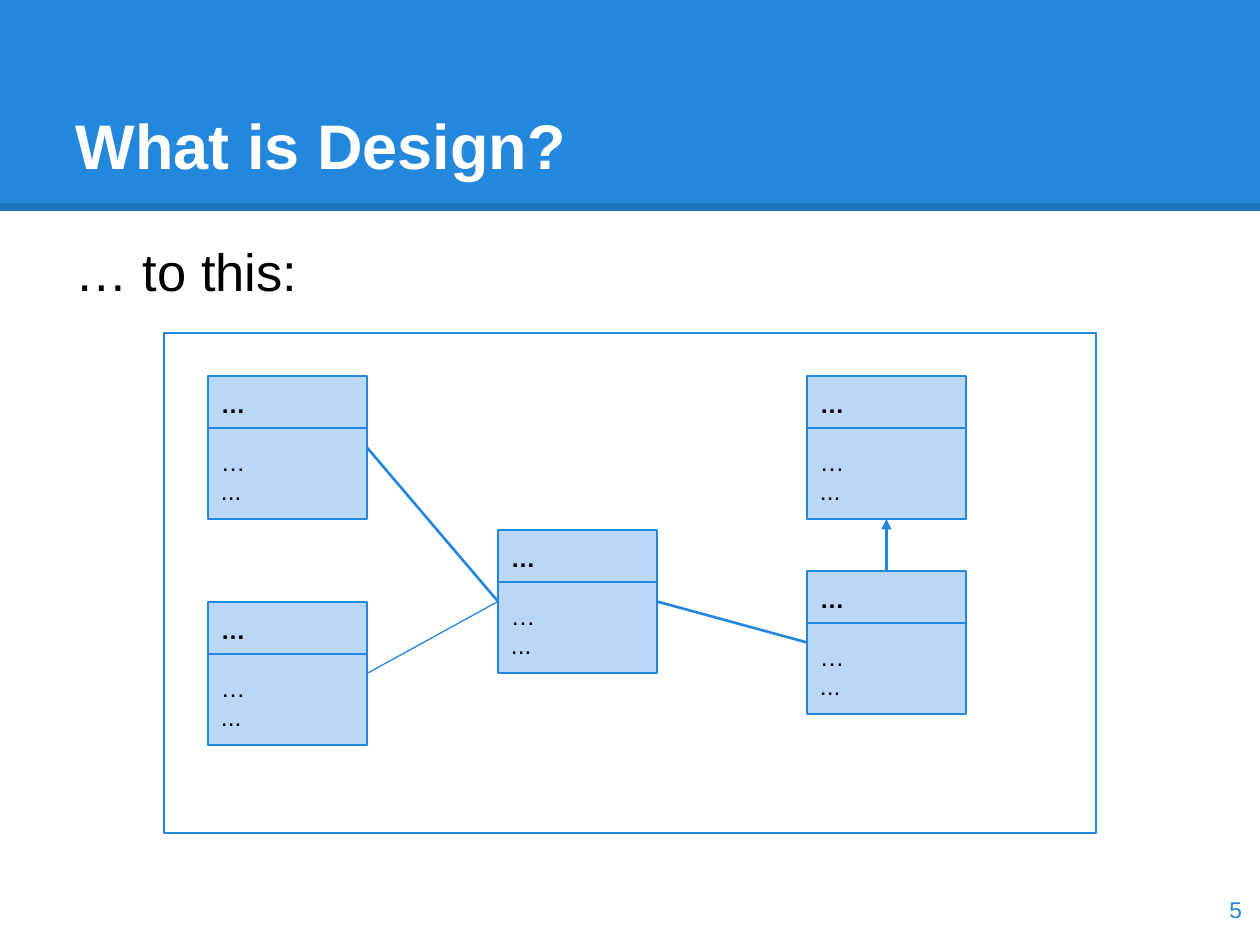
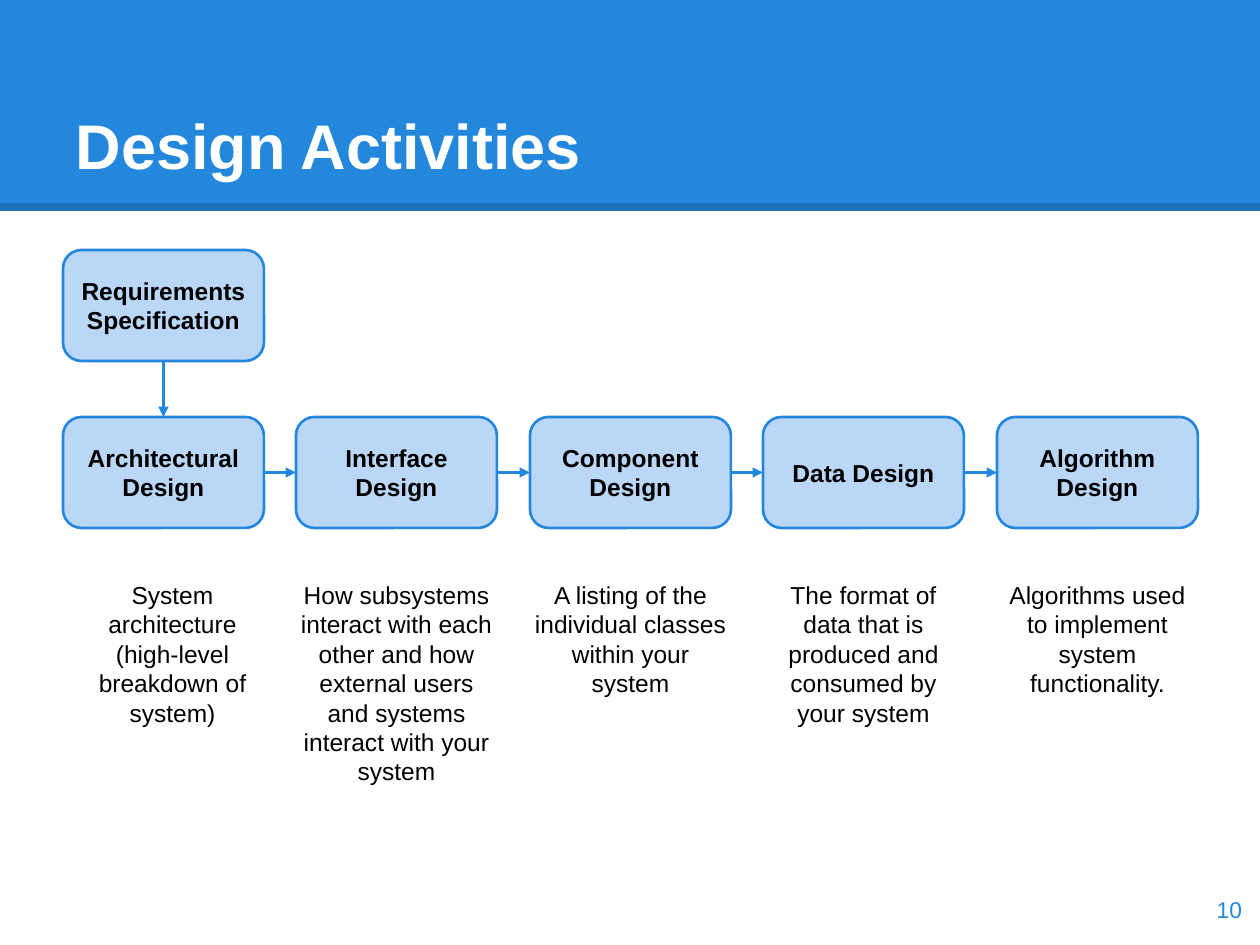
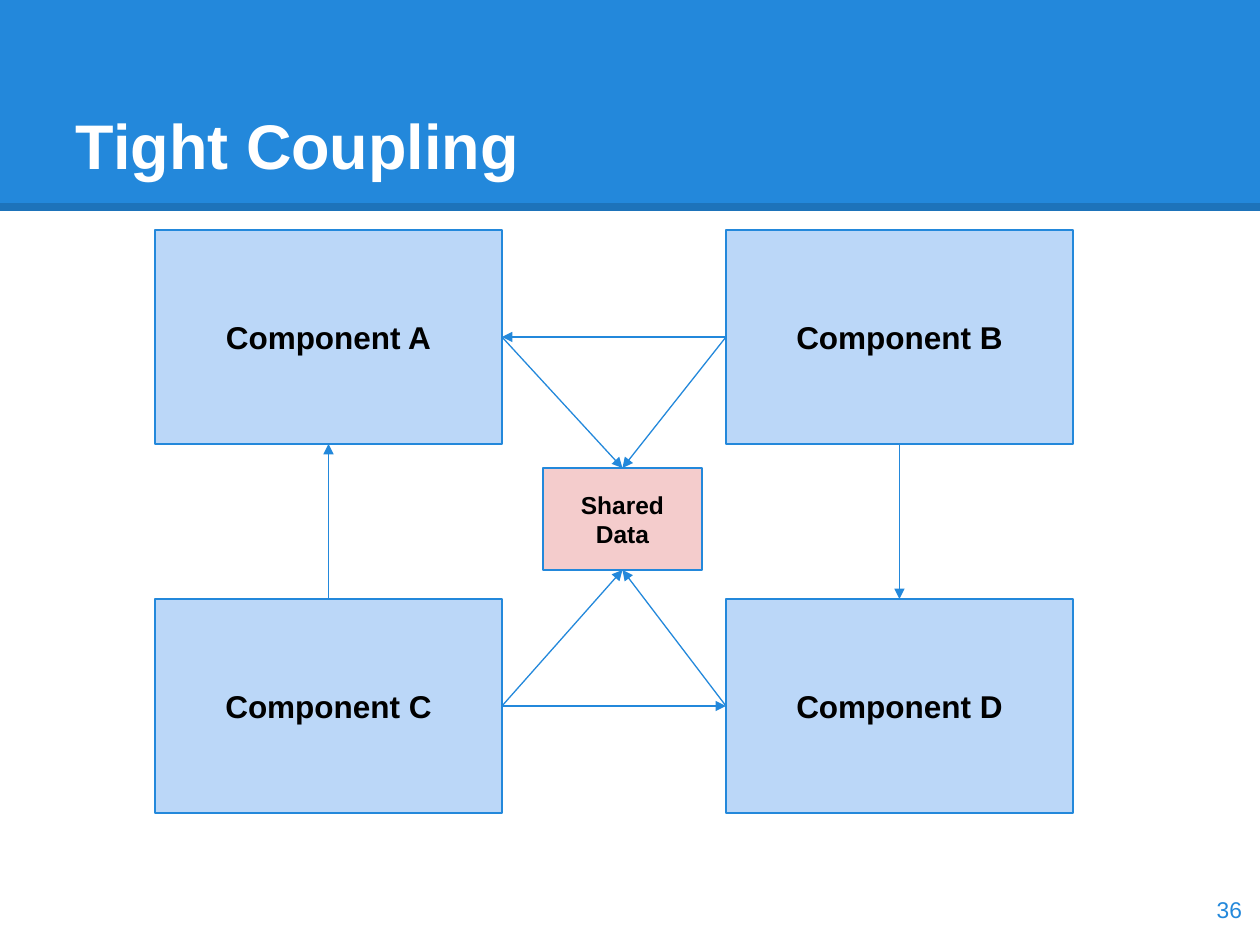
"""Build three software design slides: class diagram, design activities and tight coupling."""
from lxml import etree
from pptx import Presentation
from pptx.dml.color import RGBColor
from pptx.enum.shapes import MSO_CONNECTOR, MSO_SHAPE
from pptx.enum.text import MSO_ANCHOR, PP_ALIGN
from pptx.oxml.ns import qn
from pptx.util import Pt

PX = 914400 / 126
FONT = "Arial"
BLUE = RGBColor(0x23, 0x88, 0xDB)
PALE_BLUE = RGBColor(0xBB, 0xD7, 0xF8)
PINK = RGBColor(0xF4, 0xCC, 0xCC)
WHITE = RGBColor(0xFF, 0xFF, 0xFF)
BLACK = RGBColor(0, 0, 0)
RECT, ROUNDED = MSO_SHAPE.RECTANGLE, MSO_SHAPE.ROUNDED_RECTANGLE
STRAIGHT = MSO_CONNECTOR.STRAIGHT
LEFT, CENTER, RIGHT = PP_ALIGN.LEFT, PP_ALIGN.CENTER, PP_ALIGN.RIGHT
TOP_ANCHOR, MIDDLE, BOTTOM_ANCHOR = MSO_ANCHOR.TOP, MSO_ANCHOR.MIDDLE, MSO_ANCHOR.BOTTOM
TOP, LEFT_SIDE, BOTTOM, RIGHT_SIDE = range(4)
INSET = 13


def add_box(slide, area, text="", size=14, bold=False, color=BLACK, align=CENTER,
            anchor=MIDDLE, kind=None, fill=PALE_BLUE, weight=0):
    """Add a preset shape, or a text box when no kind is given."""
    place = [round(v * PX) for v in area]
    if kind is None:
        box = slide.shapes.add_textbox(*place)
    else:
        box = slide.shapes.add_shape(kind, *place)
        box.shadow.inherit = False
        box.fill.solid()
        box.fill.fore_color.rgb = fill
        if weight:
            box.line.color.rgb = BLUE
            box.line.width = Pt(weight)
        else:
            box.line.fill.background()
    frame = box.text_frame
    frame.word_wrap = True
    frame.vertical_anchor = anchor
    frame.margin_left = frame.margin_right = round(INSET * PX)
    frame.margin_top = frame.margin_bottom = round(INSET * PX)
    if text:
        frame.paragraphs[0].alignment = align
        run = frame.paragraphs[0].add_run()
        run.text = text
        run.font.name, run.font.size, run.font.bold = FONT, Pt(size), bold
        run.font.color.rgb = color
    return box


def add_line(slide, weight, points=(0, 0, 0, 0), joints=None, arrow=False, color=BLUE):
    """Add a straight line between points, or between two (shape, side) joints."""
    line = slide.shapes.add_connector(STRAIGHT, *[round(v * PX) for v in points])
    if joints:
        line.begin_connect(*joints[0])
        line.end_connect(*joints[1])
    line.line.color.rgb = color
    line.line.width = Pt(weight)
    if arrow:
        etree.SubElement(line.line._get_or_add_ln(), qn("a:tailEnd"), type="triangle")
    etree.SubElement(line._element.spPr, qn("a:effectLst"))
    return line


prs = Presentation()
prs.slide_width, prs.slide_height = round(1260 * PX), round(945 * PX)
layout = prs.slide_layouts[5]
for placeholder in list(layout.placeholders)[1:]:
    placeholder._element.getparent().remove(placeholder._element)

slides = []
for title_text, page in (("What is Design?", 5), ("Design Activities", 10), ("Tight Coupling", 36)):
    slide = prs.slides.add_slide(layout)
    title = slide.shapes.title
    title.left, title.top, title.width, title.height = [round(v * PX) for v in (63, 38, 1134, 157)]
    frame = title.text_frame
    frame.vertical_anchor = BOTTOM_ANCHOR
    frame.margin_left = frame.margin_right = round(INSET * PX)
    frame.margin_top = frame.margin_bottom = round(INSET * PX)
    frame.paragraphs[0].alignment = LEFT
    run = frame.paragraphs[0].add_run()
    run.text = title_text
    run.font.name, run.font.size, run.font.bold = FONT, Pt(36), True
    run.font.color.rgb = WHITE
    slides.append((slide, page))

class_slide, activity_slide, coupling_slide = [slide for slide, page in slides]

band = add_box(class_slide, (0, 0, 1260, 211), kind=RECT, fill=BLUE)
band_edge = add_line(class_slide, 4.5, (0, 207, 1260, 207), color=BLACK)
edge_color = band_edge._element.spPr.find(".//" + qn("a:srgbClr"))
etree.SubElement(edge_color, qn("a:alpha"), val="15000")
for position, part in enumerate((band, band_edge), start=2):
    layout.shapes._spTree.insert(position, part._element)

add_box(class_slide, (63, 226, 1134, 678), "… to this:", 30, align=LEFT, anchor=TOP_ANCHOR)
add_box(class_slide, (164, 333, 932, 500), kind=RECT, fill=WHITE, weight=0.75)
classes = []
for left, top in ((208, 376), (807, 376), (807, 571), (498, 530), (208, 602)):
    class_box = add_box(class_slide, (left, top, 159, 143), "…", bold=True, align=LEFT,
                        kind=RECT, weight=0.75)
    for member, gap in (("…", 16), ("...", 0)):
        paragraph = class_box.text_frame.add_paragraph()
        paragraph.alignment = LEFT
        paragraph.space_before = Pt(gap)
        run = paragraph.add_run()
        run.text = member
        run.font.name, run.font.size = FONT, Pt(14)
        run.font.color.rgb = BLACK
    add_line(class_slide, 0.75, (left, top + 52, left + 159, top + 52))
    classes.append(class_box)
upper_left, upper_right, lower_right, middle, lower_left = classes
add_line(class_slide, 1.5, joints=((upper_left, RIGHT_SIDE), (middle, LEFT_SIDE)))
add_line(class_slide, 1.5, joints=((middle, RIGHT_SIDE), (lower_right, LEFT_SIDE)))
add_line(class_slide, 1.5, joints=((lower_right, TOP), (upper_right, BOTTOM)), arrow=True)
add_line(class_slide, 0.75, joints=((middle, LEFT_SIDE), (lower_left, RIGHT_SIDE)))

ACTIVITIES = (
    ("Architectural Design", "System architecture (high-level breakdown of system)"),
    ("Interface Design", "How subsystems interact with each other and how external users "
                         "and systems interact with your system"),
    ("Component Design", "A listing of the individual classes within your system"),
    ("Data Design", "The format of data that is produced and consumed by your system"),
    ("Algorithm Design", "Algorithms used to implement system functionality."),
)
previous = add_box(activity_slide, (63, 250, 201, 111), "Requirements Specification",
                   bold=True, kind=ROUNDED, weight=1.5)
for column, (activity, description) in enumerate(ACTIVITIES):
    left = 63 + 934 * column // 4
    step = add_box(activity_slide, (left, 417, 201, 111), activity, bold=True,
                   kind=ROUNDED, weight=1.5)
    sides = (RIGHT_SIDE, LEFT_SIDE) if column else (BOTTOM, TOP)
    add_line(activity_slide, 1.5, joints=((previous, sides[0]), (step, sides[1])), arrow=True)
    description_left = left - 9 if column else left
    add_box(activity_slide, (description_left, 567, 219, 98), description, anchor=TOP_ANCHOR)
    previous = step

components = {}
for index, letter in enumerate("ABCD"):
    row, column = divmod(index, 2)
    components[letter] = add_box(
        coupling_slide, (155 + 571 * column, 230 + 369 * row, 347, 214),
        f"Component {letter}", 18, bold=True, kind=RECT, weight=1.5)
shared_data = add_box(coupling_slide, (543, 468, 159, 102), "Shared Data", bold=True,
                      kind=RECT, fill=PINK, weight=1.5)
for letter, side, shared_side in (("A", RIGHT_SIDE, TOP), ("B", LEFT_SIDE, TOP),
                                  ("C", RIGHT_SIDE, BOTTOM), ("D", LEFT_SIDE, BOTTOM)):
    add_line(coupling_slide, 0.75, arrow=True,
             joints=((components[letter], side), (shared_data, shared_side)))
for source, source_side, target, target_side in (
        ("C", TOP, "A", BOTTOM), ("B", LEFT_SIDE, "A", RIGHT_SIDE),
        ("C", RIGHT_SIDE, "D", LEFT_SIDE), ("B", BOTTOM, "D", TOP)):
    add_line(coupling_slide, 0.75, arrow=True,
             joints=((components[source], source_side), (components[target], target_side)))

for slide, page in slides:
    add_box(slide, (1179, 873, 76, 72), str(page), 13, color=BLUE, align=RIGHT)

prs.save("out.pptx")
